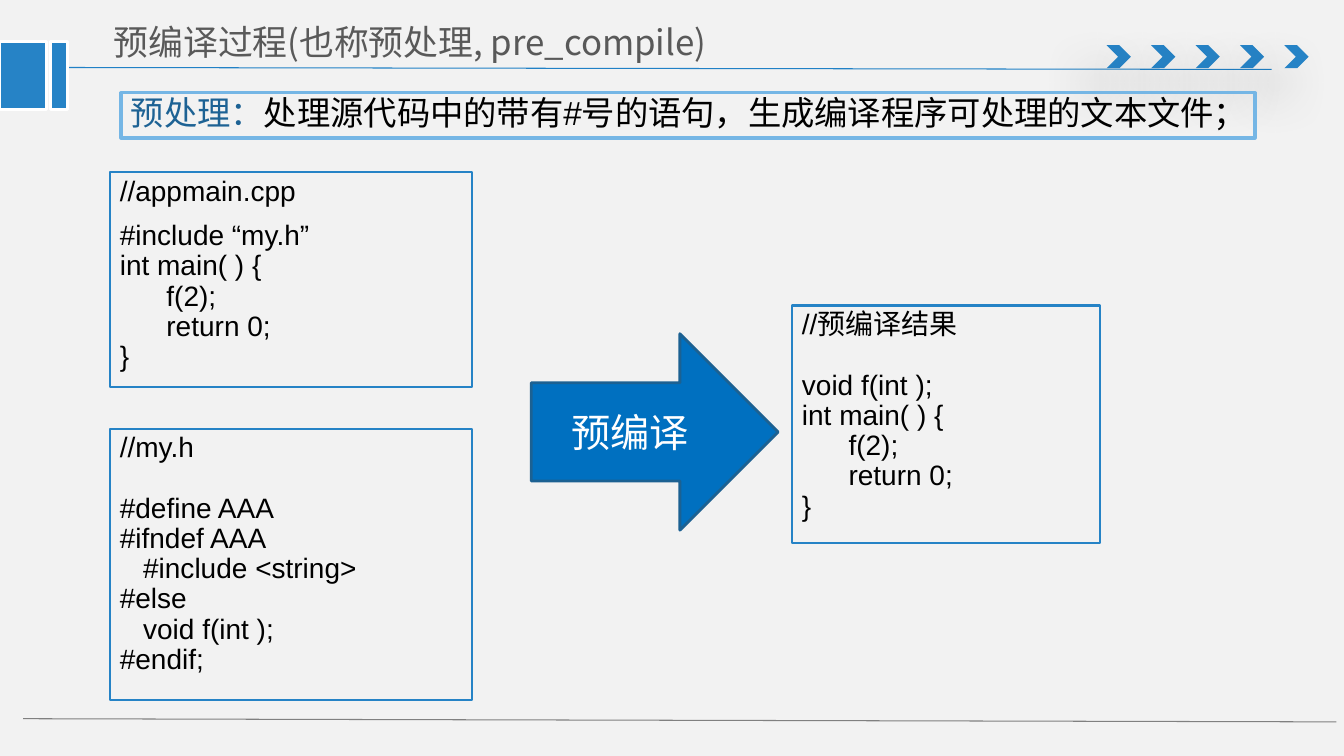
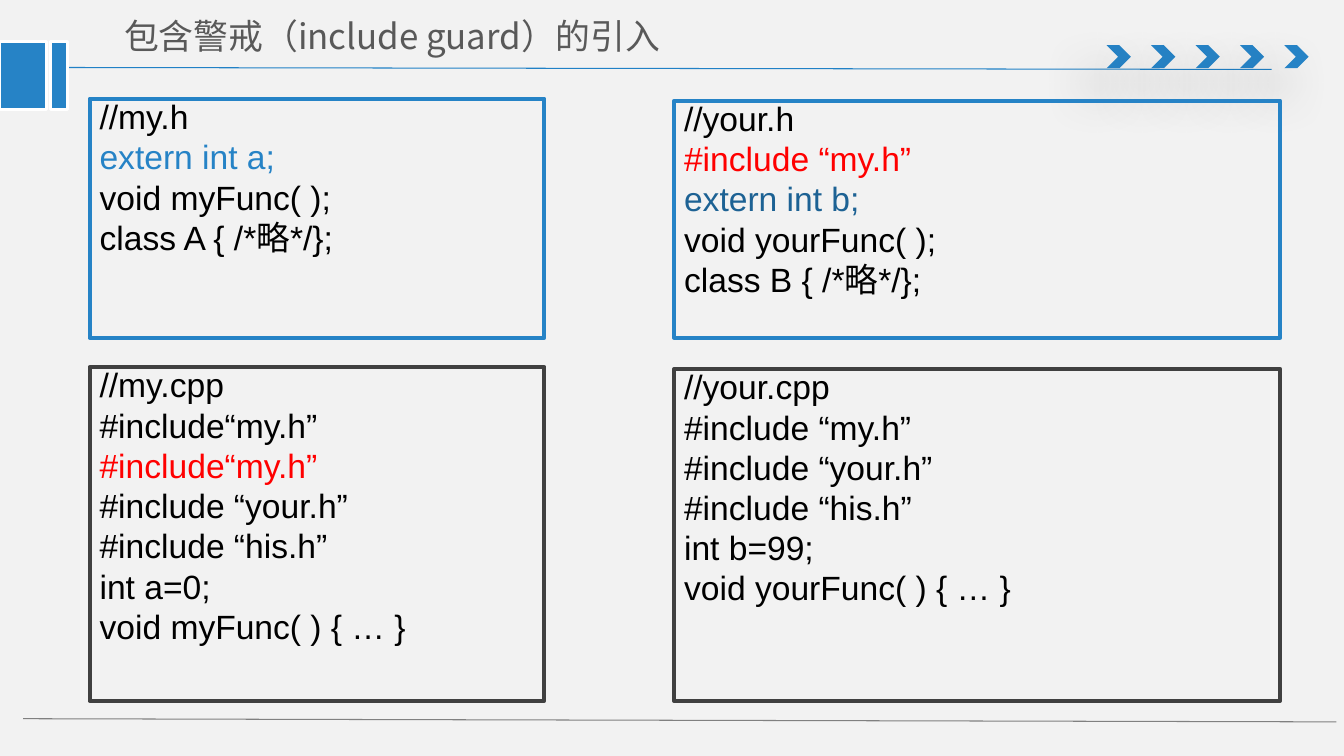
from dataclasses import dataclass

from lxml import etree
from pptx import Presentation
from pptx.dml.color import RGBColor
from pptx.enum.shapes import MSO_CONNECTOR, MSO_SHAPE as Shape
from pptx.enum.text import MSO_ANCHOR as Anchor, PP_ALIGN as Align
from pptx.oxml.ns import qn
from pptx.util import Cm, Pt


@dataclass(frozen=True)
class Theme:
    # Colours
    paper: str = "F2F2F2"
    blue: str = "2683C6"
    rule_blue: str = "2181C6"
    pale_blue: str = "75B6E5"
    deep_blue: str = "1D6294"
    edge_blue: str = "1C6192"
    arrow_blue: str = "0070C0"
    red: str = "FF0000"
    black: str = "000000"
    dark: str = "404040"
    title_grey: str = "595959"
    rule_grey: str = "808080"
    white: str = "FFFFFF"
    # Type
    latin: str = "Arial"
    cjk: str = "Noto Sans CJK SC"
    title_size: float = 24.9
    banner_size: float = 23.8
    arrow_size: float = 28
    small_code: float = 20
    large_code: float = 24
    # Spacing before a paragraph
    block_gap: float = 10
    blank_line: float = 31.6
    line_gap: float = 5.7


THEME = Theme()

# Content: positions are left, top, width, height in cm
PRECOMPILE = {
    "title": "预编译过程(也称预处理, pre_compile)",
    "title_at": (2.51, 0.36, 21.64, 1.4),
    "banner": [("预处理：", THEME.deep_blue),
               "处理源代码中的带有#号的语句，生成编译程序可处理的文本文件；"],
    "arrow": "预编译",
    "listings": [
        ((2.77, 4.34, 9.12, 5.41), THEME.block_gap, [
            "//appmain.cpp",
            "#include “my.h”\nint main( ) {\n      f(2);\n      return 0;\n}"]),
        ((2.77, 10.8, 9.12, 6.83), THEME.blank_line - THEME.block_gap, [
            "//my.h",
            "#define AAA\n#ifndef AAA \n   #include <string>\n#else\n"
            "   void f(int );\n#endif;"]),
        ((19.96, 7.7, 7.77, 5.99), THEME.blank_line - THEME.block_gap, [
            "//预编译结果",
            "void f(int );\nint main( ) {\n      f(2);\n      return 0;\n}"]),
    ],
}

INCLUDE_GUARD = {
    "title": "包含警戒（include guard）的引入",
    "title_at": (2.77, 0.2, 15.7, 1.4),
    # Left, width and drop of each column
    "columns": [(2.26, 11.46, 0), (16.99, 15.27, 0.05)],
    # Top, bottom, outline and one listing for each column
    "rows": [
        (2.49, 8.51, THEME.blue, [
            ["//my.h", ("extern int a;", THEME.blue), "void myFunc( );",
             "class A { /*略*/};"],
            ["//your.h", ("#include “my.h”", THEME.red),
             ("extern int b;", THEME.deep_blue), "void yourFunc( );",
             "class B { /*略*/};"]]),
        (9.25, 17.66, THEME.dark, [
            ["//my.cpp", "#include“my.h”", ("#include“my.h”", THEME.red),
             "#include “your.h”", "#include “his.h”", "int a=0;",
             "void myFunc( ) { … }"],
            ["//your.cpp", "#include “my.h”", "#include “your.h”",
             "#include “his.h”", "int b=99;", "void yourFunc( ) { … }"]]),
    ],
}


def rgb(value):
    return RGBColor.from_string(value)


def style_span(span, size, color, latin):
    font = span.font
    font.size, font.name, font.bold = Pt(size), latin, False
    font.color.rgb = rgb(color)
    east_asian = etree.SubElement(span._r.get_or_add_rPr(), qn("a:ea"))
    east_asian.set("typeface", THEME.cjk)


def write(box, paragraphs, size, color=THEME.black, latin=THEME.latin,
          align=Align.LEFT, anchor=Anchor.TOP, spacing=1.0, gap=0):
    """Fill a box; a paragraph is a list of strings or (string, colour) pairs."""
    frame = box.text_frame
    frame.word_wrap = True
    frame.vertical_anchor = anchor
    for index, pieces in enumerate(paragraphs):
        para = frame.add_paragraph() if index else frame.paragraphs[0]
        para.alignment, para.line_spacing = align, spacing
        para.space_before = Pt(gap if index else 0)
        for piece in pieces:
            text, tint = (piece, color) if isinstance(piece, str) else piece
            for number, line in enumerate(text.split("\n")):
                if number:
                    para.add_line_break()
                span = para.add_run()
                span.text = line
                style_span(span, size, tint, latin)


def add_box(page, at, kind=Shape.RECTANGLE, fill=None, line=None, weight=1.5):
    box = page.shapes.add_shape(kind, *map(Cm, at))
    box.shadow.inherit = False
    if fill:
        box.fill.solid()
        box.fill.fore_color.rgb = rgb(fill)
    else:
        box.fill.background()
    if line:
        box.line.color.rgb = rgb(line)
        box.line.width = Pt(weight)
    else:
        box.line.fill.background()
    return box


def add_rule(page, start, end, color):
    rule = page.shapes.add_connector(MSO_CONNECTOR.STRAIGHT,
                                     *map(Cm, start + end))
    rule.line.color.rgb = rgb(color)
    rule.line.width = Pt(0.75)
    etree.SubElement(rule._element.spPr, qn("a:effectLst"))


def add_soft_shadow(box):
    effects = box._element.spPr.find(qn("a:effectLst"))
    shadow = etree.SubElement(
        effects, qn("a:outerShdw"), blurRad=str(Pt(36)), dist=str(Pt(24)),
        dir=str(130 * 60000), algn="tr", rotWithShape="0")
    tint = etree.SubElement(shadow, qn("a:srgbClr"), val=THEME.black)
    etree.SubElement(tint, qn("a:alpha"), val="38000")


def add_page(deck, title, at):
    """Add a page with the shared rules, chevrons, side bars and title."""
    page = deck.slides.add_slide(deck.slide_layouts[5])
    add_rule(page, (1.35, 1.7), (32.05, 1.75), THEME.rule_blue)
    for index in range(5):
        chevron = add_box(page, (27.89 + 1.12 * index, 1.14, 0.61, 0.58),
                          Shape.CHEVRON, fill=THEME.blue)
        add_soft_shadow(chevron)
    add_rule(page, (0.58, 18.11), (33.68, 18.19), THEME.rule_grey)
    for left, width in ((0, 1.17), (1.27, 0.43)):
        add_box(page, (left, 1.04, width, 1.73), fill=THEME.blue,
                line=THEME.white, weight=2)

    heading = page.shapes.title
    heading.left, heading.top, heading.width, heading.height = map(Cm, at)
    frame = heading.text_frame
    frame.margin_left = frame.margin_right = Cm(0.36)
    frame.margin_top = frame.margin_bottom = Cm(0.18)
    write(heading, [[title]], THEME.title_size, color=THEME.title_grey,
          latin=THEME.cjk, anchor=Anchor.MIDDLE)
    return page


def build_precompile(deck, content):
    page = add_page(deck, content["title"], content["title_at"])
    for at, gap, blocks in content["listings"]:
        listing = add_box(page, at, line=THEME.blue)
        write(listing, [[block] for block in blocks], THEME.small_code,
              spacing=0.9, gap=gap)

    arrow = add_box(page, (13.39, 8.41, 6.22, 4.95), Shape.RIGHT_ARROW,
                    fill=THEME.arrow_blue, line=THEME.edge_blue, weight=2)
    write(arrow, [[content["arrow"]]], THEME.arrow_size, color=THEME.white,
          latin=THEME.cjk, align=Align.CENTER, anchor=Anchor.MIDDLE)

    banner = add_box(page, (3.05, 2.34, 28.58, 1.14), line=THEME.pale_blue,
                     weight=2.25)
    banner.text_frame.margin_right = 0
    write(banner, [content["banner"]], THEME.banner_size,
          anchor=Anchor.MIDDLE, spacing=0.8)


def build_include_guard(deck, content):
    page = add_page(deck, content["title"], content["title_at"])
    for top, bottom, outline, listings in content["rows"]:
        for (left, width, drop), lines in zip(content["columns"], listings):
            at = (left, top + drop, width, bottom - top - drop)
            listing = add_box(page, at, line=outline, weight=3)
            write(listing, [[line] for line in lines], THEME.large_code,
                  spacing=0.8, gap=THEME.line_gap)


def main():
    deck = Presentation()
    deck.slide_width, deck.slide_height = Cm(33.87), Cm(19.05)
    background = deck.slide_master.background.fill
    background.solid()
    background.fore_color.rgb = rgb(THEME.paper)
    build_precompile(deck, PRECOMPILE)
    build_include_guard(deck, INCLUDE_GUARD)
    deck.save("out.pptx")


if __name__ == "__main__":
    main()
